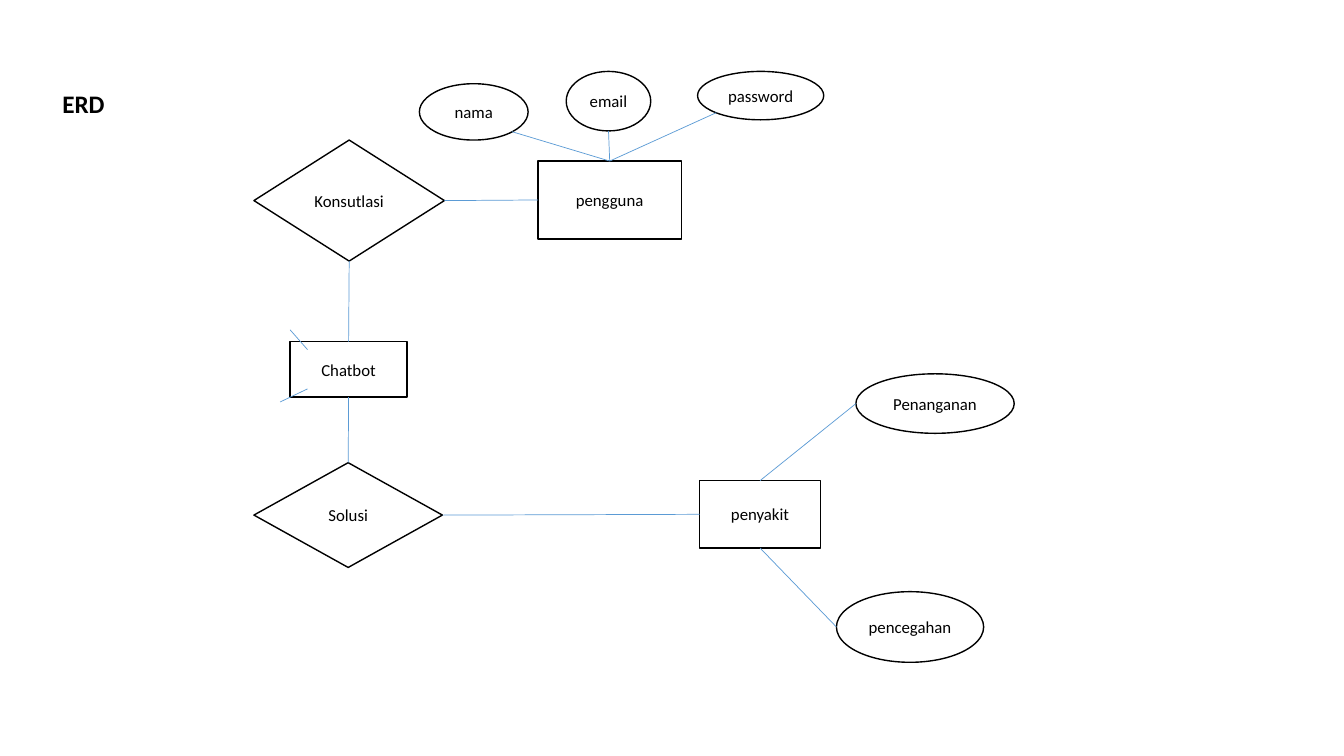
from pptx import Presentation
from pptx.dml.color import RGBColor
from pptx.enum.shapes import MSO_CONNECTOR, MSO_SHAPE
from pptx.enum.text import MSO_ANCHOR, PP_ALIGN
from pptx.oxml.ns import qn
from pptx.util import Cm, Pt
from lxml.etree import SubElement

BLACK = RGBColor(0x00, 0x00, 0x00)
WHITE = RGBColor(0xFF, 0xFF, 0xFF)
BLUE = RGBColor(0x5B, 0x9B, 0xD5)

ENTITY = MSO_SHAPE.RECTANGLE
RELATION = MSO_SHAPE.DIAMOND
ATTRIBUTE = MSO_SHAPE.OVAL

# Anchor points as fractions of a shape's width and height
TOP, BOTTOM, LEFT, RIGHT = (0.5, 0), (0.5, 1), (0, 0.5), (1, 0.5)
OVAL_LOWER_LEFT, OVAL_LOWER_RIGHT = (0.15, 0.85), (0.85, 0.85)


def write_text(shape, text, size=12, bold=False, align=PP_ALIGN.CENTER,
               anchor=MSO_ANCHOR.MIDDLE, wrap=False):
    frame = shape.text_frame
    frame.word_wrap = wrap
    frame.vertical_anchor = anchor
    paragraph = frame.paragraphs[0]
    paragraph.alignment = align
    run = paragraph.add_run()
    run.text = text
    run.font.name = "Calibri"
    run.font.size = Pt(size)
    run.font.bold = bold
    run.font.color.rgb = BLACK


def add_node(slide, kind, text, origin, left, top, width, height):
    shape = slide.shapes.add_shape(kind, Cm(origin[0] + left), Cm(origin[1] + top),
                                   Cm(width), Cm(height))
    shape.shadow.inherit = False
    shape.fill.solid()
    shape.fill.fore_color.rgb = WHITE
    shape.line.color.rgb = BLACK
    shape.line.width = Pt(1)
    write_text(shape, text)
    return shape


def add_line(slide, start, end):
    connector = slide.shapes.add_connector(MSO_CONNECTOR.STRAIGHT, *start, *end)
    connector.line.color.rgb = BLUE
    connector.line.width = Pt(0.5)
    SubElement(connector._element.spPr, qn("a:effectLst"))


def point_on(shape, anchor):
    return (round(shape.left + shape.width * anchor[0]),
            round(shape.top + shape.height * anchor[1]))


def link(slide, first, first_anchor, second, second_anchor):
    add_line(slide, point_on(first, first_anchor), point_on(second, second_anchor))


def add_title(slide, left, top, width, height):
    box = slide.shapes.add_textbox(Cm(left), Cm(top), Cm(width), Cm(height))
    write_text(box, "ERD", size=18, bold=True, align=PP_ALIGN.LEFT,
               anchor=MSO_ANCHOR.TOP, wrap=True)


def add_user_region(slide, origin):
    """User entity below its three attributes."""
    user = add_node(slide, ENTITY, "pengguna", origin, 2.99, 2.26, 3.61, 1.96)
    attributes = [
        ("nama", 0, 0.31, 2.74, 1.42, OVAL_LOWER_RIGHT),
        ("email", 3.7, 0, 2.13, 1.5, BOTTOM),
        ("password", 7.01, 0, 3.18, 1.22, OVAL_LOWER_LEFT),
    ]
    for text, *box, anchor in attributes:
        attribute = add_node(slide, ATTRIBUTE, text, origin, *box)
        link(slide, attribute, anchor, user, TOP)
    return user


def add_chatbot_region(slide, origin):
    """Column with the chatbot entity between two relations."""
    consultation = add_node(slide, RELATION, "Konsutlasi", origin, 0, 0, 4.8, 3.05)
    chatbot = add_node(slide, ENTITY, "Chatbot", origin, 0.91, 5.08, 2.95, 1.4)
    solution = add_node(slide, RELATION, "Solusi", origin, 0, 8.13, 4.75, 2.64)
    link(slide, consultation, BOTTOM, chatbot, TOP)
    link(slide, solution, TOP, chatbot, BOTTOM)
    # Short strokes across the left corners of the chatbot
    for x1, y1, x2, y2 in [(0.91, 4.78, 1.35, 5.28), (0.66, 6.6, 1.35, 6.27)]:
        add_line(slide, (Cm(origin[0] + x1), Cm(origin[1] + y1)),
                 (Cm(origin[0] + x2), Cm(origin[1] + y2)))
    return consultation, solution


def add_disease_region(slide, origin):
    """Disease entity with its two attributes on the right."""
    disease = add_node(slide, ENTITY, "penyakit", origin, 0, 2.69, 3.05, 1.7)
    treatment = add_node(slide, ATTRIBUTE, "Penanganan", origin, 3.94, 0, 3.99, 1.5)
    prevention = add_node(slide, ATTRIBUTE, "pencegahan", origin, 3.45, 5.49, 3.71, 1.78)
    link(slide, disease, TOP, treatment, LEFT)
    link(slide, disease, BOTTOM, prevention, LEFT)
    return disease


def build_erd_slide(presentation):
    slide = presentation.slides.add_slide(presentation.slide_layouts[6])
    add_title(slide, 1.32, 2.11, 5.08, 1.02)
    user = add_user_region(slide, (10.57, 1.8))
    consultation, solution = add_chatbot_region(slide, (6.4, 3.53))
    disease = add_disease_region(slide, (17.63, 9.42))
    # Links between regions
    link(slide, consultation, RIGHT, user, LEFT)
    link(slide, solution, RIGHT, disease, LEFT)


presentation = Presentation()
presentation.slide_width = Cm(33.87)
presentation.slide_height = Cm(19.05)
build_erd_slide(presentation)
presentation.save("out.pptx")
